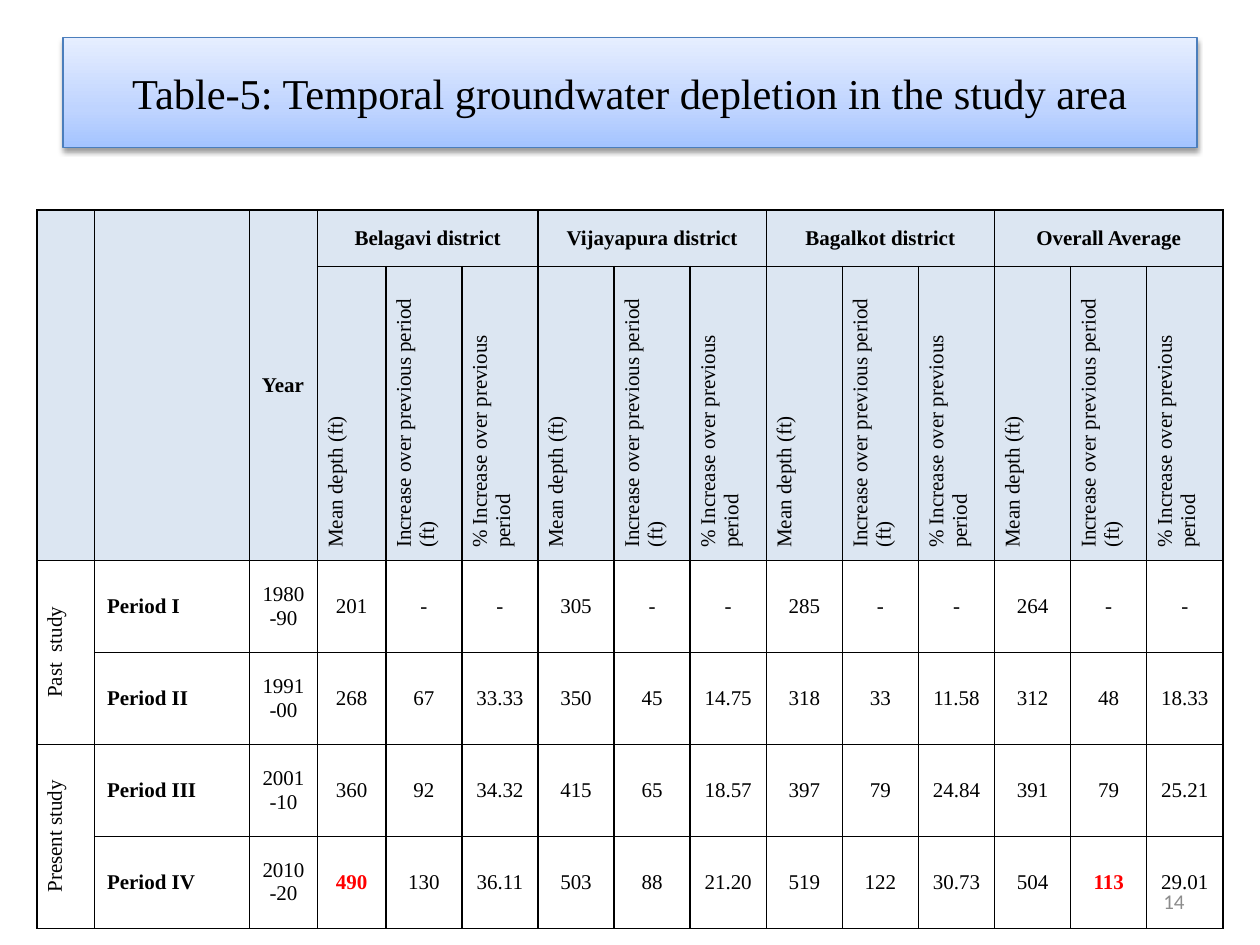
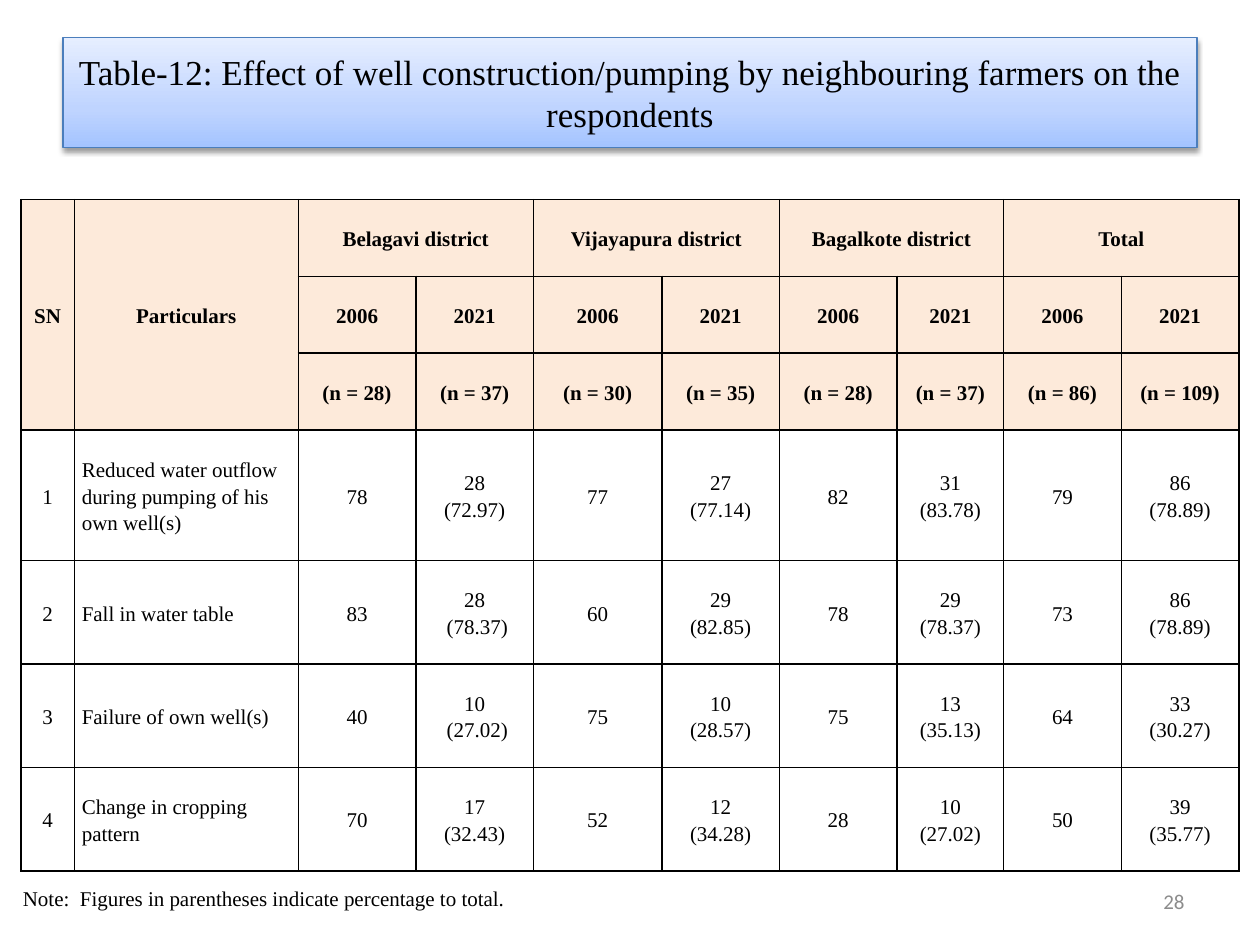
from dataclasses import dataclass
from typing import Optional

from lxml.etree import SubElement
from pptx import Presentation
from pptx.dml.color import RGBColor
from pptx.enum.shapes import MSO_SHAPE
from pptx.enum.text import MSO_ANCHOR, PP_ALIGN
from pptx.oxml.ns import qn
from pptx.util import Pt

BLACK = RGBColor(0x00, 0x00, 0x00)
RED = RGBColor(0xFF, 0x00, 0x00)
GREY = RGBColor(0x8C, 0x8C, 0x8C)
BANNER_LINE = RGBColor(0x4B, 0x7E, 0xBC)
BANNER_STOPS = (
    (0, RGBColor(0xA4, 0xC4, 0xFF)),
    (35, RGBColor(0xBF, 0xD4, 0xFF)),
    (100, RGBColor(0xE6, 0xEE, 0xFF)),
)
PALE_BLUE = RGBColor(0xDC, 0xE6, 0xF2)
PALE_ORANGE = RGBColor(0xFD, 0xEA, 0xDA)
SERIF = "Times New Roman"
SANS = "Calibri"


@dataclass(frozen=True)
class Cell:
    text: str = ""
    bold: bool = False
    color: RGBColor = BLACK
    align: PP_ALIGN = PP_ALIGN.CENTER
    upright: bool = False
    row_span: int = 1
    column_span: int = 1


Row = list[Optional[Cell]]


@dataclass(frozen=True)
class TableLayout:
    left: float
    top: float
    columns: list[float]
    rows: list[float]
    header_rows: int
    header_fill: RGBColor
    line_spacing: Optional[float] = None
    margins: tuple[float, float] = (7.2, 3.6)


def write(frame, text: str, *, size: float = 12, font: str = SERIF,
          color: RGBColor = BLACK, bold: bool = False,
          align: PP_ALIGN = PP_ALIGN.LEFT,
          line_spacing: Optional[float] = None) -> None:
    """Fill a text frame with one paragraph for each line of text."""
    for index, line in enumerate(text.split("\n")):
        para = frame.add_paragraph() if index else frame.paragraphs[0]
        para.alignment = align
        if line_spacing:
            para.line_spacing = line_spacing
        span = para.add_run()
        span.text = line
        span.font.size = Pt(size)
        span.font.name = font
        span.font.bold = bold
        span.font.color.rgb = color


def add_color(parent, color: RGBColor):
    return SubElement(parent, qn("a:srgbClr"), val=str(color))


def add_banner(page, title: str, size: float) -> None:
    box = page.shapes.add_shape(MSO_SHAPE.RECTANGLE, Pt(36), Pt(21.6), Pt(648), Pt(62.6))
    box.fill.gradient()
    box.fill.gradient_angle = 90
    stops = box.fill._fill._gradFill.find(qn("a:gsLst"))
    for stop in list(stops):
        stops.remove(stop)
    for percent, color in BANNER_STOPS:
        add_color(SubElement(stops, qn("a:gs"), pos=str(percent * 1000)), color)
    box.line.color.rgb = BANNER_LINE
    box.line.width = Pt(0.75)

    box.shadow.inherit = False
    effects = box._element.spPr.find(qn("a:effectLst"))
    shadow = SubElement(effects, qn("a:outerShdw"), blurRad=str(Pt(3.1)),
                        dist=str(Pt(1.6)), dir="5400000", rotWithShape="0")
    SubElement(add_color(shadow, BLACK), qn("a:alpha"), val="38000")

    box.text_frame.word_wrap = True
    box.text_frame.vertical_anchor = MSO_ANCHOR.MIDDLE
    write(box.text_frame, title, size=size, align=PP_ALIGN.CENTER)


def add_text(page, text: str, left: float, top: float, width: float, height: float,
             anchor: MSO_ANCHOR = MSO_ANCHOR.TOP, **text_format) -> None:
    box = page.shapes.add_textbox(Pt(left), Pt(top), Pt(width), Pt(height))
    box.text_frame.word_wrap = True
    box.text_frame.vertical_anchor = anchor
    write(box.text_frame, text, **text_format)


def add_page_number(page, number: int) -> None:
    add_text(page, str(number), 516, 500.5, 168, 28.8, MSO_ANCHOR.MIDDLE,
             font=SANS, color=GREY, align=PP_ALIGN.RIGHT)


def add_borders(table_cell) -> None:
    properties = table_cell._tc.get_or_add_tcPr()
    for side in ("lnL", "lnR", "lnT", "lnB"):
        line = SubElement(properties, qn(f"a:{side}"), w=str(Pt(1)))
        add_color(SubElement(line, qn("a:solidFill")), BLACK)


def fill_cell(table_cell, cell: Cell, layout: TableLayout) -> None:
    side, end = layout.margins
    table_cell.margin_left = table_cell.margin_right = Pt(side)
    table_cell.margin_top = table_cell.margin_bottom = Pt(end)
    table_cell.vertical_anchor = MSO_ANCHOR.MIDDLE
    if cell.upright:
        table_cell._tc.get_or_add_tcPr().set("vert", "vert270")
    if cell.text:
        write(table_cell.text_frame, cell.text, color=cell.color, bold=cell.bold,
              align=cell.align, line_spacing=layout.line_spacing)


def add_table(page, layout: TableLayout, rows: list[Row]) -> None:
    """Draw the rows; None marks a place covered by a merged cell."""
    table = page.shapes.add_table(
        len(layout.rows), len(layout.columns), Pt(layout.left), Pt(layout.top),
        Pt(sum(layout.columns)), Pt(sum(layout.rows))).table
    for column, width in zip(table.columns, layout.columns):
        column.width = Pt(width)
    for row, height in zip(table.rows, layout.rows):
        row.height = Pt(height)
    for y, row in enumerate(rows):
        for x, cell in enumerate(row):
            table_cell = table.cell(y, x)
            add_borders(table_cell)
            if y < layout.header_rows:
                table_cell.fill.solid()
                table_cell.fill.fore_color.rgb = layout.header_fill
            else:
                table_cell.fill.background()
            if cell is None:
                continue
            if cell.row_span * cell.column_span > 1:
                table_cell.merge(table.cell(y + cell.row_span - 1, x + cell.column_span - 1))
            fill_cell(table_cell, cell, layout)


def group_headings(names: list[str], span: int) -> Row:
    """Give each name a bold cell over span columns."""
    row: Row = []
    for name in names:
        row += [Cell(name, bold=True, column_span=span)] + [None] * (span - 1)
    return row


def depletion_rows() -> list[Row]:
    measures = ["Mean depth (ft)", "Increase over previous period (ft)",
                "% Increase over previous period"]
    districts = ["Belagavi district", "Vijayapura district", "Bagalkot district",
                 "Overall Average"]
    studies = ["Past  study", None, "Present study", None]
    periods = [
        ("Period I", "1980-90", "201 - - 305 - - 285 - - 264 - -"),
        ("Period II", "1991-00", "268 67 33.33 350 45 14.75 318 33 11.58 312 48 18.33"),
        ("Period III", "2001-10", "360 92 34.32 415 65 18.57 397 79 24.84 391 79 25.21"),
        ("Period IV", "2010-20", "490 130 36.11 503 88 21.20 519 122 30.73 504 113 29.01"),
    ]
    highlights = {"490", "113"}
    year = Cell("Year", bold=True, align=PP_ALIGN.LEFT, row_span=2)
    rows = [
        [Cell(row_span=2), Cell(row_span=2), year] + group_headings(districts, 3),
        [None] * 3 + [Cell(name, align=PP_ALIGN.LEFT, upright=True)
                      for name in measures * len(districts)],
    ]
    for study, (period, years, values) in zip(studies, periods):
        rows.append([
            Cell(study, upright=True, row_span=2) if study else None,
            Cell(period, bold=True, align=PP_ALIGN.LEFT),
            Cell(years),
            *(Cell(value, bold=value in highlights,
                   color=RED if value in highlights else BLACK)
              for value in values.split()),
        ])
    return rows


def effect_rows() -> list[Row]:
    districts = ["Belagavi district", "Vijayapura district", "Bagalkote district", "Total"]
    samples = [28, 37, 30, 35, 28, 37, 86, 109]
    effects = [
        ("Reduced water outflow during pumping of his own well(s)",
         ["78", "28\n(72.97)", "77", "27\n(77.14)", "82", "31\n(83.78)", "79", "86\n(78.89)"]),
        ("Fall in water table",
         ["83", "28\n (78.37)", "60", "29\n(82.85)", "78", "29\n(78.37)", "73", "86\n(78.89)"]),
        ("Failure of own well(s)",
         ["40", "10\n (27.02)", "75", "10\n(28.57)", "75", "13\n(35.13)", "64", "33\n(30.27)"]),
        ("Change in cropping pattern",
         ["70", "17\n(32.43)", "52", "12\n(34.28)", "28", "10\n(27.02)", "50", "39\n(35.77)"]),
    ]
    rows = [
        [Cell(name, bold=True, row_span=3) for name in ("SN", "Particulars")]
        + group_headings(districts, 2),
        [None] * 2 + [Cell(year, bold=True) for year in ["2006", "2021"] * len(districts)],
        [None] * 2 + [Cell(f"(n = {sample})", bold=True) for sample in samples],
    ]
    for number, (effect, values) in enumerate(effects, start=1):
        rows.append([Cell(str(number)), Cell(effect, align=PP_ALIGN.LEFT),
                     *map(Cell, values)])
    return rows


def main() -> None:
    deck = Presentation()
    deck.slide_width, deck.slide_height = Pt(720), Pt(540)
    blank = deck.slide_layouts[6]

    page = deck.slides.add_slide(blank)
    add_banner(page, "Table-5: Temporal groundwater depletion in the study area", 24.3)
    add_table(page, TableLayout(
        left=21, top=120, columns=[33, 88.5, 39, 39] + [43.5] * 11,
        rows=[32.4, 93] + [52.56] * 4, header_rows=2, header_fill=PALE_BLUE,
    ), depletion_rows())
    add_page_number(page, 14)

    page = deck.slides.add_slide(blank)
    add_banner(page, "Table-12: Effect of well construction/pumping by neighbouring "
                     "farmers on the respondents", 20)
    add_table(page, TableLayout(
        left=12, top=114,
        columns=[30.5, 128, 67.2, 67.2, 73.4, 67.2, 67.2, 61, 67.2, 67.2],
        rows=[43.9] * 3 + [74.8] + [59.1] * 3, header_rows=3, header_fill=PALE_ORANGE,
        line_spacing=1.15, margins=(4.3, 12),
    ), effect_rows())
    add_text(page, "Note:  Figures in parentheses indicate percentage to total.",
             6, 502.5, 360, 21.6)
    add_page_number(page, 28)

    deck.save("out.pptx")


if __name__ == "__main__":
    main()
